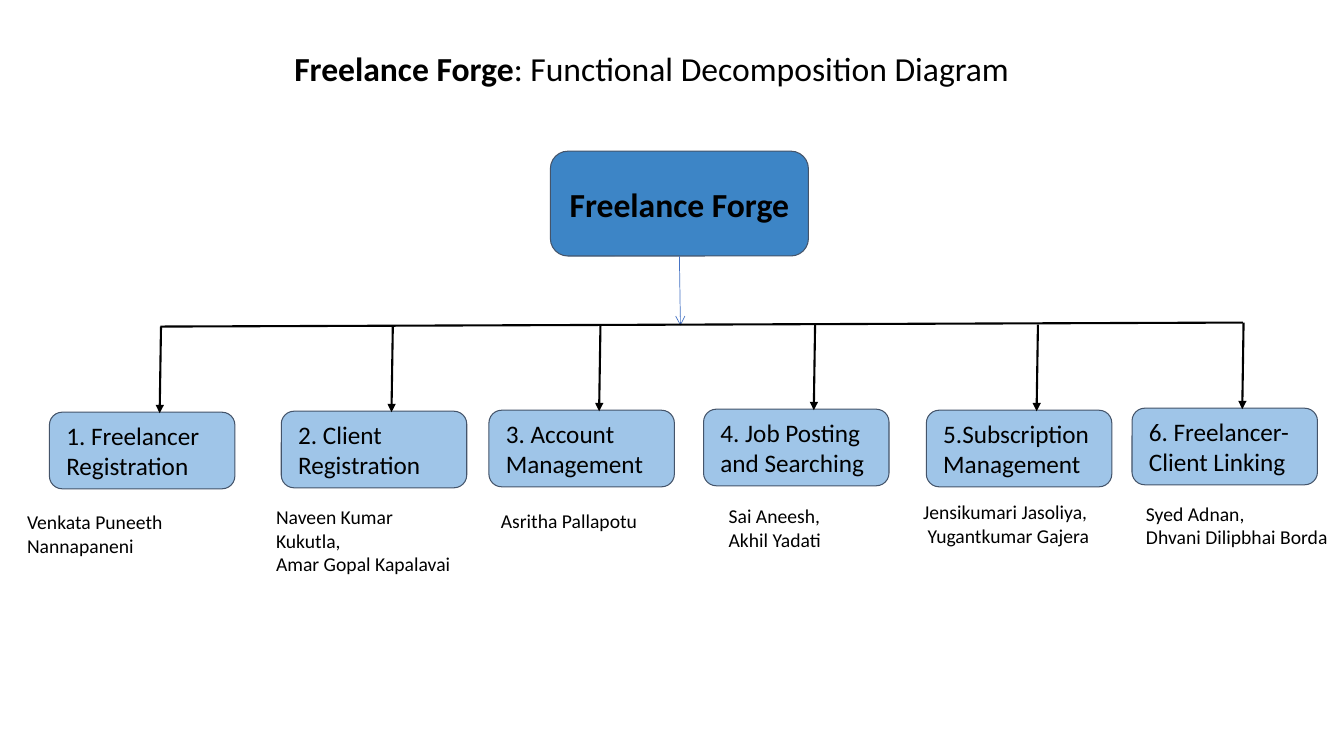
from lxml.etree import SubElement
from pptx import Presentation
from pptx.dml.color import RGBColor
from pptx.enum.shapes import MSO_CONNECTOR, MSO_SHAPE
from pptx.enum.text import MSO_ANCHOR, MSO_AUTO_SIZE, PP_ALIGN
from pptx.oxml.ns import qn
from pptx.util import Inches, Pt

BLACK = RGBColor(0x00, 0x00, 0x00)
ROOT_BLUE = RGBColor(0x3D, 0x85, 0xC6)
BOX_BLUE = RGBColor(0x9F, 0xC5, 0xE8)
ARROW_BLUE = RGBColor(0x44, 0x72, 0xC4)
OUTLINE = RGBColor(0x44, 0x54, 0x6A)

prs = Presentation()
prs.slide_width, prs.slide_height = Inches(13.33), Inches(7.5)
s = prs.slides.add_slide(prs.slide_layouts[5])

# The slide is a grid of 100 columns by 100 rows
COL, ROW = prs.slide_width / 100, prs.slide_height / 100
BOX_W, BOX_H = 13.8, 10.13


def write(sp, paragraphs, size, align=PP_ALIGN.LEFT):
    """Fill a shape with paragraphs, each a list of (text, bold) runs."""
    tf = sp.text_frame
    for i, runs in enumerate(paragraphs):
        p = tf.paragraphs[0] if i == 0 else tf.add_paragraph()
        p.alignment = align
        for text, bold in runs:
            r = p.add_run()
            r.text = text
            r.font.name, r.font.size, r.font.bold = "Calibri", Pt(size), bold
            r.font.color.rgb = BLACK
    return tf


def add_line(x1, y1, x2, y2, color, width, head=None):
    line = s.shapes.add_connector(MSO_CONNECTOR.STRAIGHT, int(x1 * COL), int(y1 * ROW),
                                  int(x2 * COL), int(y2 * ROW))
    line.line.color.rgb, line.line.width = color, Pt(width)
    if head:
        SubElement(line.line._get_or_add_ln(), qn("a:tailEnd"), type=head)
    SubElement(line._element.spPr, qn("a:effectLst"))
    return line


# Title
title = s.shapes.title
title.left, title.top = int(21.15 * COL), int(5.73 * ROW)
title.width, title.height = int(59.7 * COL), int(6.67 * ROW)
tf = write(title, [[("Freelance Forge", True), (": Functional Decomposition Diagram", False)]], 24)
tf.vertical_anchor = MSO_ANCHOR.TOP
tf.auto_size = MSO_AUTO_SIZE.SHAPE_TO_FIT_TEXT

# Root box, then the six functions: left, top, width, height, label, look
boxes = [
    (40.95, 20, 19.2, 13.87, "Freelance Forge", ROOT_BLUE, 24, True, PP_ALIGN.CENTER),
] + [
    (x, y, BOX_W, BOX_H, label, BOX_BLUE, 18, False, PP_ALIGN.LEFT)
    for x, y, label in [
        (3.68, 54.53, "1. Freelancer Registration"),
        (20.93, 54.4, "2. Client Registration"),
        (36.38, 54.27, "3. Account Management"),
        (52.35, 54.13, "4. Job Posting and Searching"),
        (68.93, 54.27, "5.Subscription Management"),
        (84.23, 54, "6. Freelancer-Client Linking"),
    ]
]
shapes = []
for x, y, w, h, label, fill, size, bold, align in boxes:
    sp = s.shapes.add_shape(MSO_SHAPE.ROUNDED_RECTANGLE, int(x * COL), int(y * ROW),
                            int(w * COL), int(h * ROW))
    sp.shadow.inherit = False
    sp.fill.solid()
    sp.fill.fore_color.rgb = fill
    sp.line.color.rgb, sp.line.width = OUTLINE, Pt(0.75)
    tf = write(sp, [[(label, bold)]], size, align)
    tf.word_wrap = True
    tf.vertical_anchor = MSO_ANCHOR.MIDDLE
    tf.margin_left = tf.margin_right = tf.margin_top = tf.margin_bottom = Inches(0.13)
    shapes.append(sp)

# Root arrow, crossbar and one arrow down to each function
root_arrow = add_line(50.55, 33.87, 50.63, 43.07, ARROW_BLUE, 0.5, "arrow")
root_arrow.begin_connect(shapes[0], 2)
add_line(11.93, 43.2, 92.48, 42.67, BLACK, 1.5)
for x, y, *_ in boxes[1:]:
    add_line(x + 8.3, y - 11.33, x + 8.2, y + 0.13, BLACK, 1.5, "triangle")

# People under each function: left, top, width, height, wrap, lines
people = [
    (1.28, 66.8, 19.73, 10.8, True, ["Venkata Puneeth", "Nannapaneni"]),
    (19.8, 66.13, 14.93, 13.87, True, ["Naveen Kumar Kukutla,", "Amar Gopal Kapalavai"]),
    (36.53, 66.67, 11.78, 4.53, False, ["Asritha Pallapotu"]),
    (53.48, 66, 8.7, 7.6, False, ["Sai Aneesh,", "Akhil Yadati"]),
    (67.95, 65.47, 14.33, 7.6, False, ["Jensikumari Jasoliya,", " Yugantkumar Gajera"]),
    (84.53, 65.73, 15.53, 7.6, False, ["Syed Adnan,", "Dhvani Dilipbhai Borda"]),
]
for x, y, w, h, wrap, names in people:
    sp = s.shapes.add_textbox(int(x * COL), int(y * ROW), int(w * COL), int(h * ROW))
    tf = write(sp, [[(name, False)] for name in names], 14)
    tf.word_wrap = wrap
    tf.auto_size = MSO_AUTO_SIZE.SHAPE_TO_FIT_TEXT

prs.save("out.pptx")
